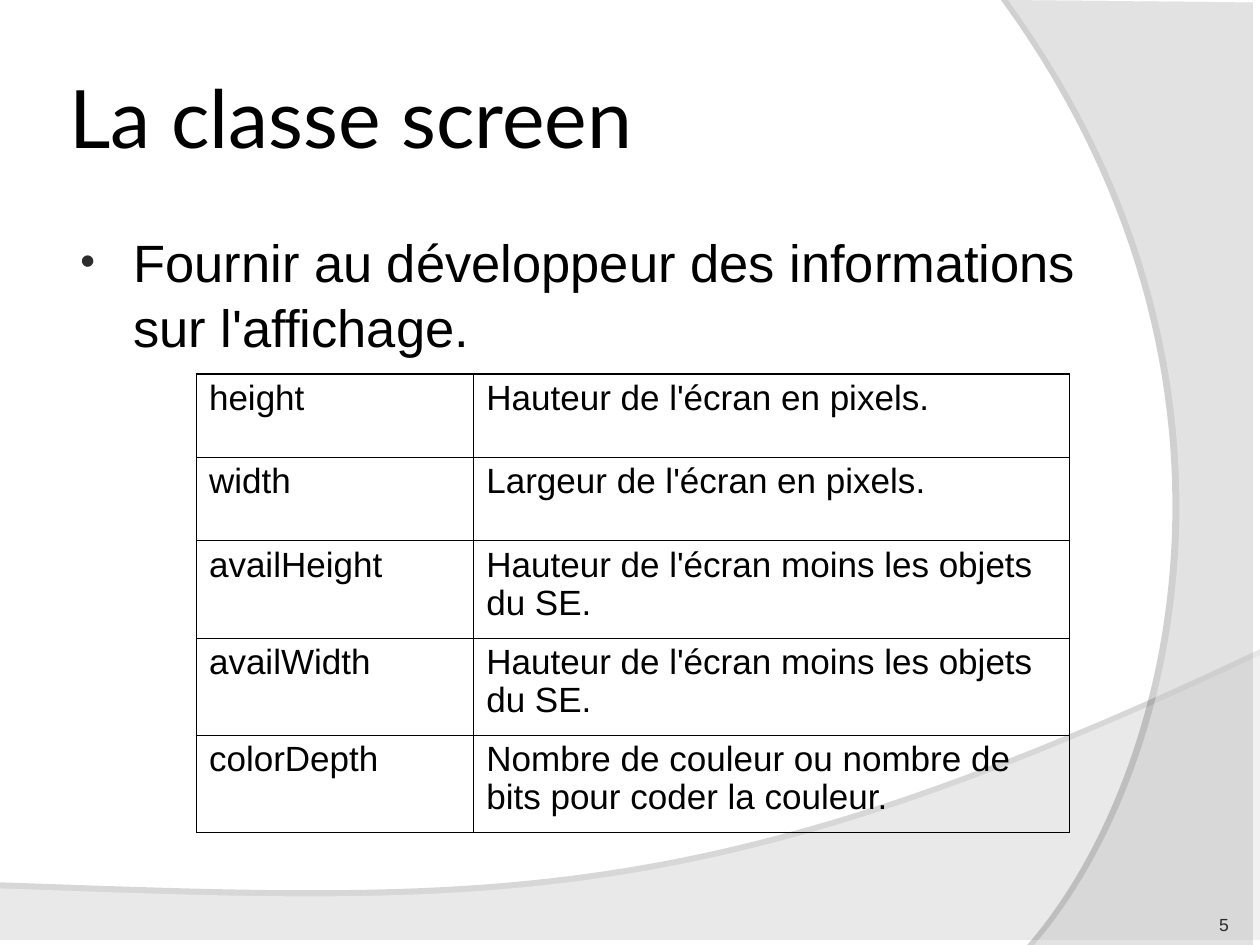
"""Build the slide presenting the screen class and its properties."""
from lxml import etree
from pptx import Presentation
from pptx import util as u
from pptx.dml.color import RGBColor
from pptx.enum import text
from pptx.oxml.ns import nsdecls, qn
from pptx.oxml import parse_xml

THEME = {
    "ink": "000000", "muted": "292929", "bullet": "2C2C2C", "wave": "FFFFFF",
    "heading_font": "Lato", "body_font": "Arial",
    "title": 46, "body": 30, "cell": 20, "number": 10,
    "outer": 1.08, "inner": 0.45,
}

TITLE = "La classe screen"
PURPOSE = "Fournir au développeur des informations sur l'affichage."
NUMBER = "5"
PROPERTIES = [
    ("height", "Hauteur de l'écran en pixels."),
    ("width", "Largeur de l'écran en pixels."),
    ("availHeight", "Hauteur de l'écran moins les objets du SE."),
    ("availWidth", "Hauteur de l'écran moins les objets du SE."),
    ("colorDepth", "Nombre de couleur ou nombre de bits pour coder la couleur."),
]
COLUMN_WIDTHS = (5.59, 12.01)
ROW_HEIGHTS = (1.68, 1.68, 1.96, 1.96, 1.96)

WAVES = [
    {"corners": [(0, 19.07), (25.4, 19.07)],
     "curve": [(25.4, 13.21), (14.2, 18.52), (9.93, 18.26), (0, 17.91)],
     "opacity": 45, "shade": 35, "distance": 3.5, "direction": 270},
    {"corners": [(25.4, 0.05), (25.4, 19.05)],
     "curve": [(20.85, 19.05), (23.75, 15.72), (25.86, 7.62), (20.32, 0)],
     "opacity": 40, "shade": 45, "distance": 4, "direction": 180},
]


def bezier(curve, steps=60):
    """Return points along a cubic curve."""
    points = []
    for step in range(steps + 1):
        t = step / steps
        weights = ((1 - t) ** 3, 3 * t * (1 - t) ** 2, 3 * t * t * (1 - t), t ** 3)
        points.append(tuple(sum(w * p[axis] for w, p in zip(weights, curve)) for axis in (0, 1)))
    return points


def add_wave(slide, wave):
    """Draw a translucent band with a hard shadow along its edge."""
    outline = [(u.Cm(x), u.Cm(y)) for x, y in wave["corners"] + bezier(wave["curve"])]
    builder = slide.shapes.build_freeform(*outline[0])
    builder.add_line_segments(outline[1:], close=True)
    band = builder.convert_to_shape()
    band.line.fill.background()
    band.fill.solid()
    band.fill.fore_color.rgb = RGBColor.from_string(THEME["wave"])
    tint = band.fill._xPr.find(qn("a:solidFill"))[0]
    etree.SubElement(tint, qn("a:alpha"), val=str(wave["opacity"] * 1000))
    band.shadow.inherit = False
    effects = band._element.spPr.find(qn("a:effectLst"))
    effects.append(parse_xml(
        f'<a:outerShdw {nsdecls("a")} blurRad="0" dist="{u.Pt(wave["distance"])}" '
        f'dir="{wave["direction"] * 60000}" algn="ctr" rotWithShape="0">'
        f'<a:srgbClr val="{THEME["ink"]}"><a:alpha val="{wave["shade"] * 1000}"/>'
        '</a:srgbClr></a:outerShdw>'))


def write(paragraph, words, size, font="body_font", color="ink"):
    """Add one styled run."""
    run = paragraph.add_run()
    run.text = words
    run.font.name = THEME[font]
    run.font.size = u.Pt(THEME[size])
    run.font.color.rgb = RGBColor.from_string(THEME[color])


def add_frame(slide, place, anchor, inset):
    """Add a wrapping text box and return its first paragraph."""
    frame = slide.shapes.add_textbox(*map(u.Cm, place)).text_frame
    frame.word_wrap = True
    frame.vertical_anchor = anchor
    frame.margin_left = frame.margin_right = u.Cm(inset[0])
    frame.margin_top = frame.margin_bottom = u.Cm(inset[1])
    return frame.paragraphs[0]


def add_bullet(paragraph):
    """Give the paragraph a hanging bullet."""
    properties = paragraph._p.get_or_add_pPr()
    properties.set("marL", str(u.Cm(1.17)))
    properties.set("indent", str(-u.Cm(1.07)))
    for mark in (f'<a:buClr {nsdecls("a")}><a:srgbClr val="{THEME["bullet"]}"/></a:buClr>',
                 f'<a:buSzPct {nsdecls("a")} val="80000"/>',
                 f'<a:buFont {nsdecls("a")} typeface="{THEME["body_font"]}"/>',
                 f'<a:buChar {nsdecls("a")} char="•"/>'):
        properties.append(parse_xml(mark))


def add_borders(cell, outer_sides):
    """Rule the cell, heavier on the sides at the table's edge."""
    for side in "LRTB":
        weight = THEME["outer" if side in outer_sides else "inner"]
        cell._tc.get_or_add_tcPr().append(parse_xml(
            f'<a:ln{side} {nsdecls("a")} w="{u.Pt(weight)}"><a:solidFill>'
            f'<a:srgbClr val="{THEME["ink"]}"/></a:solidFill></a:ln{side}>'))


def add_properties(slide):
    """Add the table of screen properties."""
    last_row, last_column = len(PROPERTIES) - 1, len(COLUMN_WIDTHS) - 1
    table = slide.shapes.add_table(
        len(PROPERTIES), len(COLUMN_WIDTHS), u.Cm(3.96), u.Cm(7.54),
        u.Cm(sum(COLUMN_WIDTHS)), u.Cm(sum(ROW_HEIGHTS))).table
    table.first_row = table.horz_banding = False
    for column, width in zip(table.columns, COLUMN_WIDTHS):
        column.width = u.Cm(width)
    for r, (row, height) in enumerate(zip(table.rows, ROW_HEIGHTS)):
        row.height = u.Cm(height)
        for c, cell in enumerate(row.cells):
            edges = {"L": c == 0, "R": c == last_column, "T": r == 0, "B": r == last_row}
            add_borders(cell, [side for side, on_edge in edges.items() if on_edge])
            cell.fill.background()
            entry = cell.text_frame.paragraphs[0]
            entry.line_spacing = 0.97
            write(entry, PROPERTIES[r][c], "cell")


def main():
    """Assemble and save the slide."""
    deck = Presentation()
    deck.slide_width, deck.slide_height = u.Cm(25.4), u.Cm(19.05)
    slide = deck.slides.add_slide(deck.slide_layouts[6])
    for wave in WAVES:
        add_wave(slide, wave)

    title = add_frame(slide, (1.27, 0.76, 20.75, 3.18), text.MSO_ANCHOR.MIDDLE, (0.13, 0.13))
    write(title, TITLE, "title", font="heading_font")

    purpose = add_frame(slide, (1.27, 4.45, 20.75, 12.57), text.MSO_ANCHOR.TOP, (0.25, 0.13))
    add_bullet(purpose)
    purpose.line_spacing = 1.04
    write(purpose, PURPOSE, "body")

    number = add_frame(slide, (22.66, 17.83, 2.11, 1.02), text.MSO_ANCHOR.BOTTOM, (0, 0))
    number.alignment = text.PP_ALIGN.RIGHT
    write(number, NUMBER, "number", color="muted")

    add_properties(slide)
    deck.save("out.pptx")


if __name__ == "__main__":
    main()
